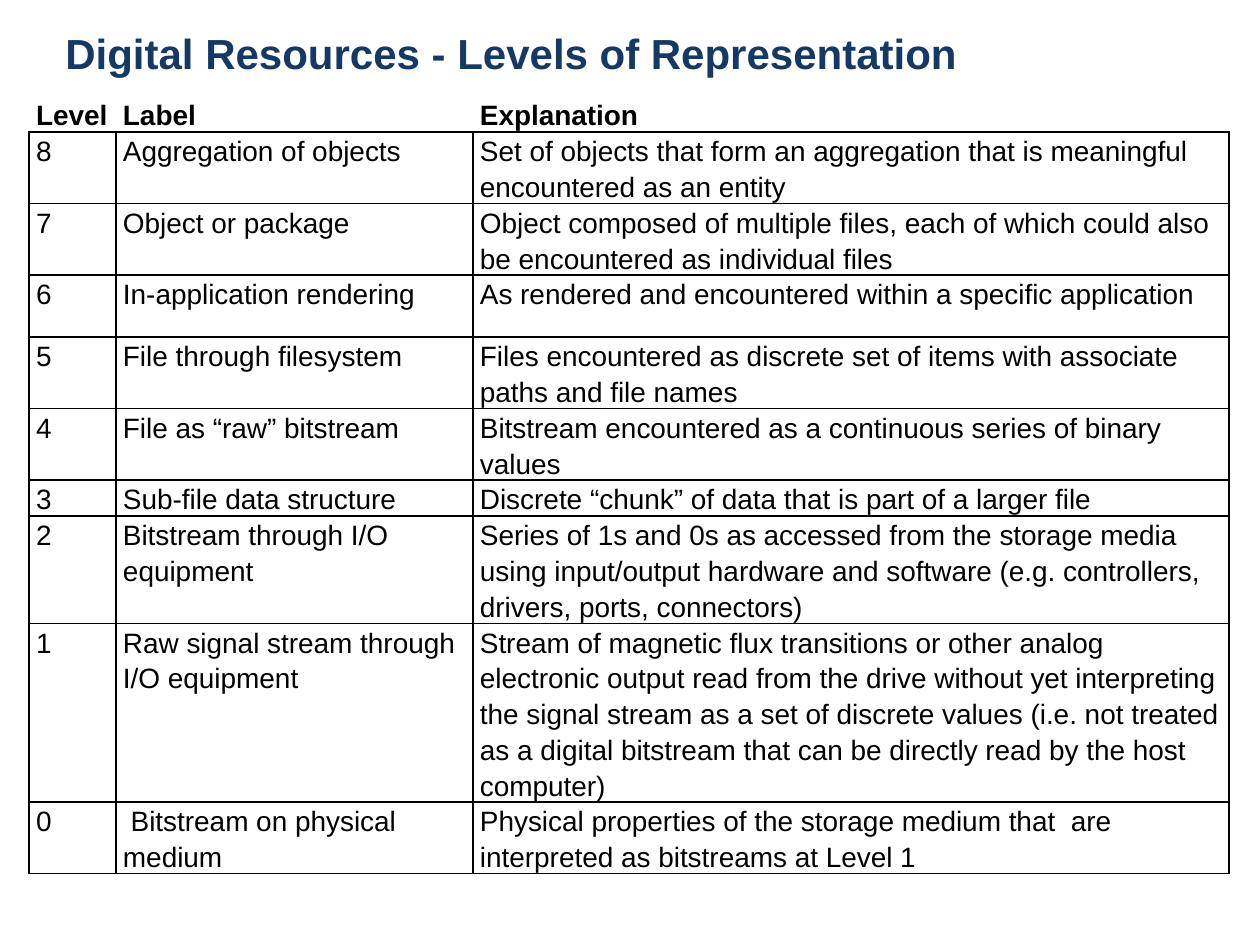
from dataclasses import dataclass

from lxml.etree import SubElement
from pptx import Presentation
from pptx.dml.color import RGBColor
from pptx.enum.text import MSO_ANCHOR as Anchor, MSO_AUTO_SIZE as AutoSize
from pptx.oxml.ns import qn
from pptx.util import Emu, Pt

EMU_PER_PX = 914400 / 126
BLACK, NAVY = "000000", "153965"
COLUMN_WIDTHS = (87, 357, 756)
HEADINGS = ("Level", "Label", "Explanation")
HEADING_HEIGHT = 31
CELL_MARGINS = {"margin_left": 7, "margin_right": 7, "margin_top": 0, "margin_bottom": 0}
HEADING_FORMAT = {"line_spacing": 1.15}
BODY_FORMAT = {"line_spacing": 1.15, "space_after": Pt(10)}


@dataclass(frozen=True)
class Level:
    """One level of representation, with its row height in px."""

    number: int
    label: str
    explanation: str
    height: int = 62


LEVELS = (
    Level(8, "Aggregation of objects",
          "Set of objects that form an aggregation that is meaningful encountered as an entity"),
    Level(7, "Object or package",
          "Object composed of multiple files, each of which could also be encountered as "
          "individual files"),
    Level(6, "In-application rendering",
          "As rendered and encountered within a specific application"),
    Level(5, "File through filesystem",
          "Files encountered as discrete set of items with associate paths and file names"),
    Level(4, "File as “raw” bitstream",
          "Bitstream encountered as a continuous series of binary values"),
    Level(3, "Sub-file data structure",
          "Discrete “chunk” of data that is part of a larger file", 31),
    Level(2, "Bitstream through I/O equipment",
          "Series of 1s and 0s as accessed from the storage media using input/output hardware "
          "and software (e.g. controllers, drivers, ports, connectors)", 93),
    Level(1, "Raw signal stream through I/O equipment",
          "Stream of magnetic flux transitions or other analog electronic output read from the "
          "drive without yet interpreting the signal stream as a set of discrete values (i.e. "
          "not treated as a digital bitstream that can be directly read by the host computer)",
          155),
    Level(0, " Bitstream on physical medium",
          "Physical properties of the storage medium that  are interpreted as bitstreams at "
          "Level 1"),
)


def px(length: int) -> Emu:
    """Turn px into EMU."""
    return Emu(round(length * EMU_PER_PX))


def color(value: str) -> RGBColor:
    """Turn a hex string into a colour."""
    return RGBColor.from_string(value)


def write(paragraph, text: str, size: int, hex_color: str, bold: bool) -> None:
    """Put one run of formatted text in a paragraph."""
    run = paragraph.add_run()
    run.text = text
    for name, value in {"name": "Arial", "size": Pt(size), "bold": bold}.items():
        setattr(run.font, name, value)
    run.font.color.rgb = color(hex_color)


def draw_borders(cell, sides: str) -> None:
    """Draw black lines on the given sides of a cell and clear the others."""
    properties = cell._tc.get_or_add_tcPr()
    for side in "LRTB":
        line = SubElement(properties, qn(f"a:ln{side}"), w=str(Pt(1)))
        if side in sides:
            fill = SubElement(line, qn("a:solidFill"))
            SubElement(fill, qn("a:srgbClr"), val=BLACK)
        else:
            SubElement(line, qn("a:noFill"))


def fill_cell(cell, text: str, heading: bool) -> None:
    """Write and format one table cell."""
    for name, margin in CELL_MARGINS.items():
        setattr(cell, name, px(margin))
    cell.vertical_anchor = Anchor.BOTTOM if text == "Label" else Anchor.TOP
    draw_borders(cell, "B" if heading else "LRTB")
    cell.fill.background()
    paragraph = cell.text_frame.paragraphs[0]
    for name, value in (HEADING_FORMAT if heading else BODY_FORMAT).items():
        setattr(paragraph, name, value)
    write(paragraph, text, 16, BLACK, heading)


def add_title(slide, text: str) -> None:
    """Add the slide title."""
    title = slide.shapes.add_textbox(px(53), px(21), px(926), px(63)).text_frame
    title.word_wrap = False
    title.auto_size = AutoSize.SHAPE_TO_FIT_TEXT
    write(title.paragraphs[0], text, 24, NAVY, True)


def add_level_table(slide) -> None:
    """Add the table of levels."""
    heights = [HEADING_HEIGHT, *(level.height for level in LEVELS)]
    rows = [HEADINGS, *((str(level.number), level.label, level.explanation) for level in LEVELS)]
    levels = slide.shapes.add_table(
        len(rows), len(HEADINGS), px(29), px(96), px(sum(COLUMN_WIDTHS)), px(sum(heights))
    ).table
    levels.first_row = levels.horz_banding = False
    for column, width in zip(levels.columns, COLUMN_WIDTHS):
        column.width = px(width)
    for index, (row, height, texts) in enumerate(zip(levels.rows, heights, rows)):
        row.height = px(height)
        for cell, text in zip(row.cells, texts):
            fill_cell(cell, text, index == 0)


def main() -> None:
    """Build and save the slide."""
    deck = Presentation()
    deck.slide_width, deck.slide_height = px(1260), px(945)
    slide = deck.slides.add_slide(deck.slide_layouts[6])
    add_level_table(slide)
    add_title(slide, "Digital Resources - Levels of Representation")
    deck.save("out.pptx")


if __name__ == "__main__":
    main()
